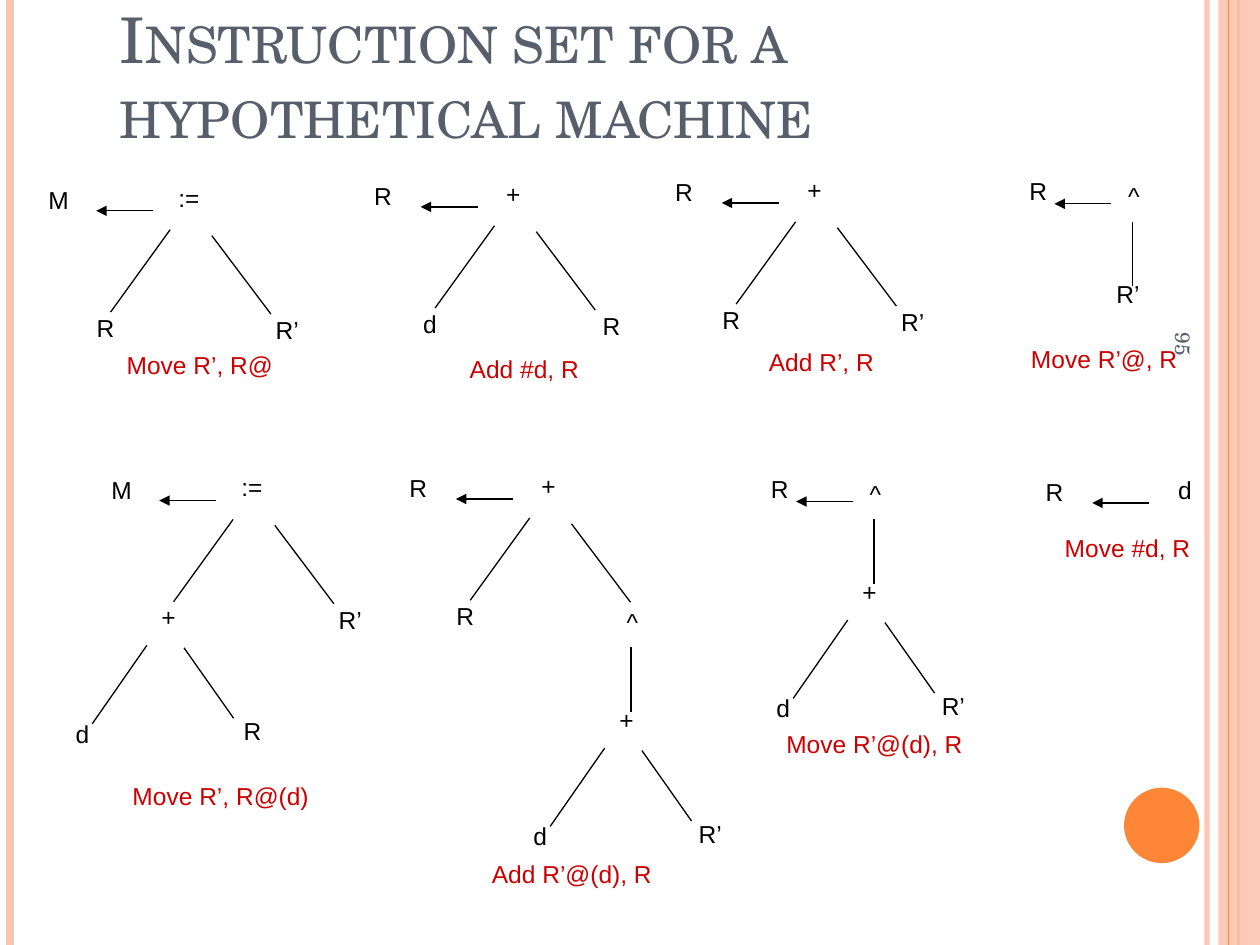
import dataclasses

import pptx
import pptx.dml.color
import pptx.enum.shapes
import pptx.enum.text
import pptx.oxml.ns
import pptx.oxml.xmlchemy
import pptx.util
from pptx.util import Cm


@dataclasses.dataclass(frozen=True)
class Theme:
    ink: str = "000000"
    caption: str = "CC0000"
    heading: str = "575F6D"
    accent: str = "FE8637"
    pale: str = "FEC3AE"
    body_font: str = "Arial"
    heading_font: str = "TeX Gyre Schola"
    title_size: int = 36
    label_size: int = 14
    number_size: int = 12


THEME = Theme()
SHAPE = pptx.enum.shapes.MSO_SHAPE
ANCHOR = pptx.enum.text.MSO_ANCHOR
qn = pptx.oxml.ns.qn

WIDTH, HEIGHT = 25.4, 19.05
LABEL_HEIGHT = 1.27
SYMBOL_WIDTHS = {":=": 1.22, "R": 1.07, "R’": 1.35, "M": 1.27,
                 "+": 0.99, "d": 0.94, "^": 0.91}

# Each branch: edge start, edge end and child, as offsets from the parent.
WIDE = [((-0.38, 1.07), (-1.58, 2.73), (-1.68, 2.62)),
        ((0.46, 1.19), (1.65, 2.77), (1.98, 2.67))]
NARROW = [((-0.44, 0.99), (-1.54, 2.57), (-1.74, 2.34)),
          ((0.31, 1.04), (1.31, 2.46), (1.69, 2.29))]
STEM = [((-0.03, 0.94), (-0.03, 2.24), (-0.12, 1.98))]
CARET_NUDGE = (-0.29, 0.07)

# Each assignment: arrow start, arrow end and target, as offsets from the root.
ASSIGN = ((-0.72, 0.69), (-1.87, 0.69), (-2.63, 0.05))
CARET_ASSIGN = ((-0.46, 0.58), (-1.6, 0.58), (-1.93, -0.1))

INDEXED = ("+", "d", "R’")
INSTRUCTIONS = [
    ("M", (":=", "R", "R’"), (3.81, 3.56), "Move R’, R@", (4.03, 6.93)),
    ("R", ("+", "d", "R"), (10.35, 3.48), "Add #d, R", (10.57, 7.01)),
    ("R", ("+", "R", "R’"), (16.42, 3.4), "Add R’, R", (16.56, 6.88)),
    ("R", ("^", "R’"), (22.86, 3.53), "Move R’@, R", (22.26, 6.81)),
    ("M", (":=", ("+", "d", "R"), "R’"), (5.08, 9.4), "Move R’, R@(d)", (4.45, 15.62)),
    ("R", ("+", "R", ("^", INDEXED)), (11.06, 9.37), "Add R’@(d), R", (11.53, 17.2)),
    ("R", ("^", INDEXED), (17.65, 9.53), "Move R’@(d), R", (17.63, 14.58)),
    ("R", ("d",), (23.89, 9.45), "Move #d, R", (22.73, 10.62)),
]


def rgb(color):
    return pptx.dml.color.RGBColor.from_string(color)


def shift(point, offset):
    return point[0] + offset[0], point[1] + offset[1]


def set_opacity(sp, percent):
    clr = sp._element.spPr.find(".//" + qn("a:srgbClr"))
    alpha = clr.makeelement(qn("a:alpha"), {"val": str(percent * 1000)})
    clr.append(alpha)


def add_text(s, box, text, font, size, color):
    sp = s.shapes.add_textbox(*map(Cm, box))
    tf = sp.text_frame
    tf.word_wrap = True
    tf.text = text
    r = tf.paragraphs[0].runs[0]
    r.font.name = font
    r.font.size = pptx.util.Pt(size)
    r.font.color.rgb = rgb(color)
    return sp


def add_label(s, text, point, width, color):
    x, y = point
    sp = add_text(s, (x - width / 2, y, width, LABEL_HEIGHT), text,
                  THEME.body_font, THEME.label_size, color)
    tf = sp.text_frame
    tf.word_wrap = False
    tf.auto_size = pptx.enum.text.MSO_AUTO_SIZE.SHAPE_TO_FIT_TEXT
    tf.paragraphs[0].alignment = pptx.enum.text.PP_ALIGN.CENTER


def add_symbol(s, text, point):
    add_label(s, text, point, SYMBOL_WIDTHS[text], THEME.ink)


def add_line(s, start, end, color=THEME.ink, weight=0.75, arrow=False):
    sp = s.shapes.add_connector(pptx.enum.shapes.MSO_CONNECTOR.STRAIGHT,
                                *map(Cm, start + end))
    sp.line.color.rgb = rgb(color)
    sp.line.width = pptx.util.Pt(weight)
    if arrow:
        ln = sp.line._get_or_add_ln()
        ln.append(ln.makeelement(qn("a:tailEnd"), {"type": "triangle"}))
    spPr = sp._element.spPr
    spPr.append(spPr.makeelement(qn("a:effectLst"), {}))
    return sp


def add_block(s, kind, box, color):
    sp = s.shapes.add_shape(kind, *map(Cm, box))
    sp.shadow.inherit = False
    sp.fill.solid()
    sp.fill.fore_color.rgb = rgb(color)
    sp.line.fill.background()
    return sp


def add_rule(s, x, color, weight):
    return add_line(s, (x, 0), (x, HEIGHT), color, weight)


def add_tree(s, tree, point, pair=WIDE):
    symbol, *children = tree
    add_symbol(s, symbol, point)
    branches = STEM if len(children) == 1 else pair
    for child, (start, end, offset) in zip(children, branches):
        add_line(s, shift(point, start), shift(point, end))
        place = shift(point, offset)
        if child[0] == "^":
            place = shift(place, CARET_NUDGE)
        add_tree(s, (child,) if isinstance(child, str) else child, place, NARROW)


def add_instruction(s, target, tree, root, caption, caption_point):
    start, end, offset = CARET_ASSIGN if tree[0] == "^" else ASSIGN
    add_tree(s, tree, root)
    add_symbol(s, target, shift(root, offset))
    add_line(s, shift(root, start), shift(root, end), arrow=True)
    add_label(s, caption, caption_point, 0.57 * len(caption) - 1.05, THEME.caption)


def add_decoration(s):
    set_opacity(add_rule(s, 24.33, THEME.pale, 3), 93)
    add_rule(s, 0.2, THEME.pale, 4.5)
    add_rule(s, 24.97, THEME.accent, 1.5)
    band = add_block(s, SHAPE.RECTANGLE, (24.56, 0, 0.84, HEIGHT), THEME.pale)
    set_opacity(band, 87)
    add_rule(s, 24.77, THEME.accent, 0.75)
    add_block(s, SHAPE.OVAL, (22.66, 15.88, 1.52, 1.52), THEME.accent)


def add_headings(s):
    number = add_text(s, (19.41, 10.39, 8.89, 1.02), "95",
                      THEME.heading_font, THEME.number_size, THEME.heading)
    number.rotation = 90
    number.text_frame.vertical_anchor = ANCHOR.MIDDLE
    title = add_text(s, (2.16, 0, 21.59, 3.18),
                     "Instruction set for a hypothetical machine",
                     THEME.heading_font, THEME.title_size, THEME.heading)
    title.text_frame.vertical_anchor = ANCHOR.BOTTOM
    r = title.text_frame.paragraphs[0].runs[0]
    r._r.get_or_add_rPr().set("cap", "small")


def main():
    prs = pptx.Presentation()
    prs.slide_width, prs.slide_height = Cm(WIDTH), Cm(HEIGHT)
    s = prs.slides.add_slide(prs.slide_layouts[6])
    add_decoration(s)
    add_headings(s)
    for instruction in INSTRUCTIONS:
        add_instruction(s, *instruction)
    prs.save("out.pptx")


if __name__ == "__main__":
    main()
